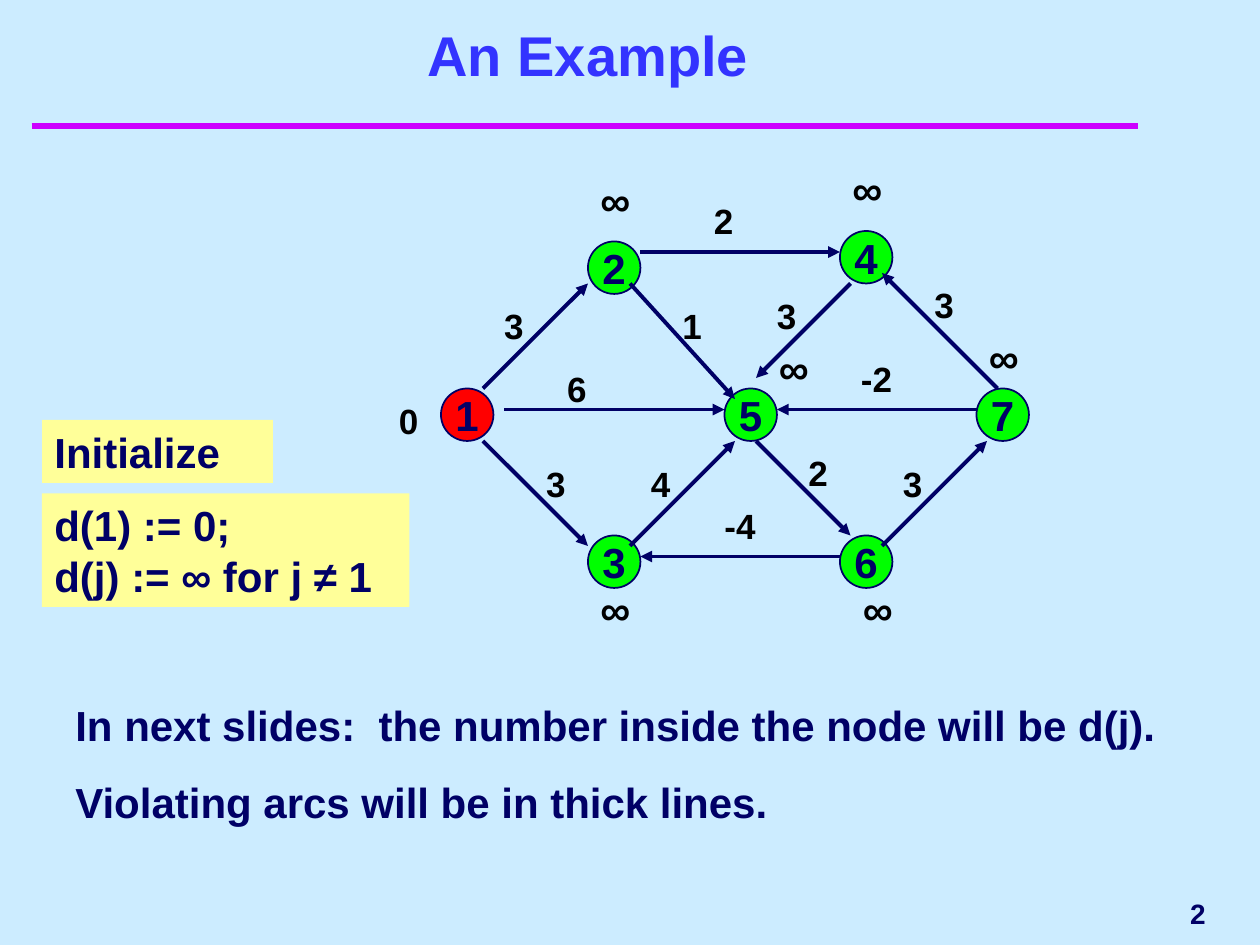
from pptx import Presentation
from pptx.dml.color import RGBColor
from pptx.enum.shapes import MSO_CONNECTOR, MSO_SHAPE
from pptx.enum.text import MSO_ANCHOR, MSO_AUTO_SIZE, PP_ALIGN
from pptx.oxml.ns import qn
from pptx.util import Cm, Pt
from lxml import etree

STRAIGHT = MSO_CONNECTOR.STRAIGHT
OVAL, RECT = MSO_SHAPE.OVAL, MSO_SHAPE.RECTANGLE
TOP, MIDDLE, BOTTOM = MSO_ANCHOR.TOP, MSO_ANCHOR.MIDDLE, MSO_ANCHOR.BOTTOM
LEFT, CENTER, RIGHT = PP_ALIGN.LEFT, PP_ALIGN.CENTER, PP_ALIGN.RIGHT
GROW, FIXED = MSO_AUTO_SIZE.SHAPE_TO_FIT_TEXT, MSO_AUTO_SIZE.NONE

SKY = RGBColor(0xCC, 0xEC, 0xFF)
NAVY = RGBColor(0x00, 0x00, 0x66)
BLUE = RGBColor(0x33, 0x33, 0xFF)
MAGENTA = RGBColor(0xCC, 0x00, 0xFF)
YELLOW = RGBColor(0xFF, 0xFF, 0x99)
RED = RGBColor(0xFF, 0x00, 0x00)
GREEN = RGBColor(0x00, 0xFF, 0x00)
BLACK = RGBColor(0x00, 0x00, 0x00)

FONT = "Arial"
GRID = Cm(2.54) // 12
NODE_SIZE = 5

NODES = [("1", 4, 22, RED), ("2", 18, 8, GREEN), ("3", 18, 36, GREEN),
         ("4", 42, 7, GREEN), ("5", 31, 22, GREEN), ("6", 42, 36, GREEN),
         ("7", 55, 22, GREEN)]
ARCS = [((8, 22), (18, 12), "3", (10, 14)),
        ((23, 9), (42, 9), "2", (30, 4)),
        ((57, 22), (46, 11), "3", (51, 12)),
        ((43, 12), (34, 21), "3", (36, 13)),
        ((10, 24), (31, 24), "6", (16, 20)),
        ((22, 37), (32, 27), "4", (24, 29)),
        ((34, 27), (43, 36), "2", (39, 28)),
        ((42, 38), (23, 38), "-4", (31, 33)),
        ((8, 27), (18, 37), "3", (14, 29)),
        ((22, 12), (32, 23), "1", (27, 14)),
        ((55, 24), (36, 24), "-2", (44, 19)),
        ((46, 37), (56, 27), "3", (48, 29))]
INFINITE_LABELS = [(42, 0), (18, 1), (55, 16), (43, 40), (18, 40), (35, 17)]


def grid(*values):
    """Convert grid units to lengths."""
    return [round(v * GRID) for v in values]


def write(sp, *paragraphs, size=24, color=NAVY, align=LEFT, anchor=TOP,
          inset=True, wrap=True, grow=True):
    """Fill a shape with formatted bold paragraphs."""
    tf = sp.text_frame
    tf.word_wrap = wrap
    tf.auto_size = GROW if grow else FIXED
    tf.vertical_anchor = anchor
    tf.margin_left = tf.margin_right = Cm(0.25 if inset else 0)
    tf.margin_top = tf.margin_bottom = Cm(0.13 if inset else 0)
    for i, text in enumerate(paragraphs):
        p = tf.add_paragraph() if i else tf.paragraphs[0]
        p.text = text
        p.alignment = align
        p.space_before = Pt(15 if i else 0)
        p.font.name, p.font.size, p.font.bold = FONT, Pt(size), True
        p.font.color.rgb = color


def add_label(s, box, *paragraphs, **style):
    """Add a text box in the given grid box."""
    write(s.shapes.add_textbox(*grid(*box)), *paragraphs, **style)


def add_filled(s, kind, box, fill, text, outlined=False, **style):
    """Add a filled shape with text."""
    sp = s.shapes.add_shape(kind, *grid(*box))
    sp.shadow.inherit = False
    sp.fill.solid()
    sp.fill.fore_color.rgb = fill
    if outlined:
        sp.line.color.rgb = NAVY
        sp.line.width = Pt(1)
    else:
        sp.line.fill.background()
    write(sp, text, **style)


def add_line(s, start, end, color, width, arrow=False):
    """Add a straight line, with an arrowhead at its end if asked."""
    line = s.shapes.add_connector(STRAIGHT, *grid(*start, *end))
    line.line.color.rgb = color
    line.line.width = Pt(width)
    if arrow:
        ln = line.line._get_or_add_ln()
        etree.SubElement(ln, qn("a:tailEnd"), type="triangle")
    etree.SubElement(line._element.spPr, qn("a:effectLst"))


def add_header(s, x, y):
    """Place the title and the rule below it."""
    add_line(s, (x, y + 12), (x + 105.4, y + 12), MAGENTA, 4)
    title = s.shapes.title
    title.left, title.top, title.width, title.height = grid(x + 2, y + 4, 102, 5)
    write(title, "An Example", size=32, color=BLUE, align=CENTER,
          anchor=BOTTOM, grow=False)


def add_initialization(s, x, y):
    """Place the two yellow boxes with the initial values."""
    add_filled(s, RECT, (x, y, 22, 6), YELLOW, "Initialize")
    add_filled(s, RECT, (x, y + 7, 35, 10.8), YELLOW,
               "d(1) := 0;\vd(j) := ∞ for j ≠ 1")


def add_network(s, x, y):
    """Place the nodes, arcs, arc costs and distance labels."""
    for name, dx, dy, fill in NODES:
        add_filled(s, OVAL, (x + dx, y + dy, NODE_SIZE, NODE_SIZE), fill, name,
                   outlined=True, align=CENTER, anchor=MIDDLE, wrap=False,
                   grow=False)
    for (x1, y1), (x2, y2), cost, (dx, dy) in ARCS:
        add_line(s, (x + x1, y + y1), (x + x2, y + y2), NAVY, 2.25, arrow=True)
        width = 2.64 if len(cost) == 1 else 6
        add_label(s, (x + dx, y + dy, width, 4), cost, size=20, color=BLACK,
                  inset=False)
    add_label(s, (x, y + 23, 2.64, 4), "0", size=20, color=BLACK, inset=False)
    for dx, dy in INFINITE_LABELS:
        add_label(s, (x + dx, y + dy, 8, 6), "∞", color=BLACK)


def add_notes_and_number(s, x, y):
    """Place the closing remarks and the slide number."""
    add_label(s, (x, y, 109, 13.3),
              "In next slides:  the number inside the node will be d(j).",
              "Violating arcs will be in thick lines.")
    add_label(s, (x + 87, y + 18, 23, 6), "2", size=16, align=RIGHT,
              anchor=MIDDLE, wrap=False, grow=False)


def main():
    """Build the slide and save it."""
    prs = Presentation()
    prs.slide_width, prs.slide_height = Cm(25.4), Cm(19.05)
    s = prs.slides.add_slide(prs.slide_layouts[5])
    s.background.fill.solid()
    s.background.fill.fore_color.rgb = SKY
    add_header(s, 3, 0)
    add_initialization(s, 4, 40)
    add_network(s, 38, 15)
    add_notes_and_number(s, 6, 66)
    prs.save("out.pptx")


if __name__ == "__main__":
    main()
